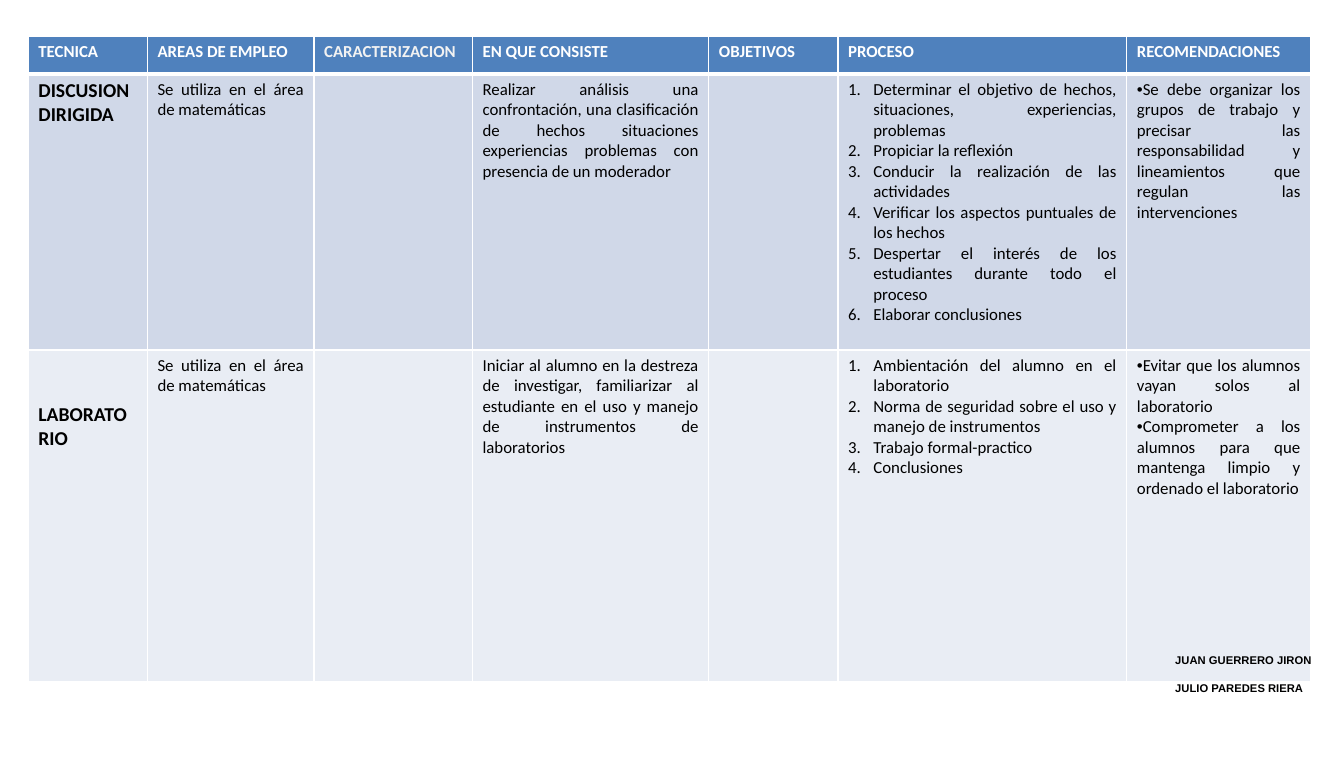
from lxml.etree import SubElement
from pptx import Presentation
from pptx.dml.color import RGBColor
from pptx.enum.text import MSO_ANCHOR, PP_ALIGN
from pptx.oxml.ns import qn
from pptx.util import Pt

HUES = {"head": "4F81BD", "dark": "D0D8E8", "pale": "E9EDF4",
        "white": "FFFFFF", "grey": "F2F2F2", "black": "000000"}
WIDTHS = [84.96, 118.8, 113.04, 168.48, 92.16, 205.92, 131.04]
HEIGHTS = [26.64, 196.8, 236.16]
STEPS, TIPS = 5, 6  # list columns

HEADS = ["TECNICA", "AREAS DE EMPLEO", "CARACTERIZACION", "EN QUE CONSISTE",
         "OBJETIVOS", "PROCESO", "RECOMENDACIONES"]
AREA = ["Se utiliza en el área de matemáticas"]
ROWS = [
    [["DISCUSION DIRIGIDA"], AREA, [],
     ["Realizar análisis una confrontación, una clasificación de hechos "
      "situaciones experiencias problemas con presencia de un moderador"], [],
     ["Determinar el objetivo de hechos, situaciones, experiencias, problemas",
      "Propiciar la reflexión",
      "Conducir la realización de las actividades",
      "Verificar los aspectos puntuales de los hechos",
      "Despertar el interés de los estudiantes durante todo el proceso",
      "Elaborar conclusiones"],
     ["Se debe organizar los grupos de trabajo y precisar las responsabilidad "
      "y lineamientos que regulan las intervenciones"]],
    [["LABORATORIO"], AREA, [],
     ["Iniciar al alumno en la destreza de investigar, familiarizar al "
      "estudiante en el uso y manejo de instrumentos de laboratorios"], [],
     ["Ambientación del alumno en el laboratorio",
      "Norma de seguridad sobre el uso y manejo de instrumentos",
      "Trabajo formal-practico",
      "Conclusiones"],
     ["Evitar que los alumnos vayan solos al laboratorio",
      "Comprometer a los alumnos para que mantenga limpio y ordenado el "
      "laboratorio"]],
]
NAMES = ["JUAN GUERRERO JIRON", "JULIO PAREDES RIERA"]


def color(name):
    return RGBColor.from_string(HUES[name])


def add_run(para, text, size, hue="black", bold=False, face="Calibri"):
    run = para.add_run()
    run.text = text
    font = run.font
    font.name, font.size, font.bold = face, Pt(size), bold
    font.color.rgb = color(hue)


def add_paras(frame, texts):
    """Yield one paragraph with its text, for each text."""
    for i, text in enumerate(texts):
        yield (frame.add_paragraph() if i else frame.paragraphs[0]), text


def add_mark(para, col):
    """Number the steps and dot the tips."""
    props = para._p.get_or_add_pPr()
    if col == STEPS:
        props.set("marL", str(Pt(18)))
        props.set("indent", str(-Pt(18)))
        SubElement(props, qn("a:buAutoNum"), type="arabicPeriod")
    elif col == TIPS:
        SubElement(props, qn("a:buFont"), typeface="Arial")
        SubElement(props, qn("a:buChar"), char="•")


def paint(cell, hue, top=1, bottom=1):
    """Give the cell white borders and a fill."""
    props = cell._tc.get_or_add_tcPr()
    for side, width in zip("LRTB", (1, 1, top, bottom)):
        line = SubElement(props, qn(f"a:ln{side}"), w=str(Pt(width)))
        fill = SubElement(line, qn("a:solidFill"))
        SubElement(fill, qn("a:srgbClr"), val=HUES["white"])
    cell.fill.solid()
    cell.fill.fore_color.rgb = color(hue)


def add_head(table):
    for col, text in enumerate(HEADS):
        cell = table.cell(0, col)
        paint(cell, "head", bottom=3)
        para = cell.text_frame.paragraphs[0]
        para.alignment = PP_ALIGN.JUSTIFY
        hue = "grey" if text == "CARACTERIZACION" else "white"
        add_run(para, text, 12, hue, bold=True)


def add_row(table, row, texts, hue):
    for col, lines in enumerate(texts):
        cell = table.cell(row, col)
        paint(cell, hue, top=3 if row == 1 else 1)
        for para, text in add_paras(cell.text_frame, lines):
            add_mark(para, col)
            if col:
                para.alignment = PP_ALIGN.JUSTIFY
                add_run(para, text, 12)
            else:
                add_run(para, text, 14, bold=True)


def add_grid(slide, left, top):
    frame = slide.shapes.add_table(len(HEIGHTS), len(WIDTHS), Pt(left), Pt(top),
                                   Pt(sum(WIDTHS)), Pt(sum(HEIGHTS)))
    table = frame.table
    for column, width in zip(table.columns, WIDTHS):
        column.width = Pt(width)
    for row, height in zip(table.rows, HEIGHTS):
        row.height = Pt(height)
    add_head(table)
    for row, (texts, hue) in enumerate(zip(ROWS, ("dark", "pale")), 1):
        add_row(table, row, texts, hue)
    table.cell(2, 0).margin_top = Pt(37.8)


def add_names(slide, left, top, width, height):
    box = slide.shapes.add_textbox(Pt(left), Pt(top), Pt(width), Pt(height))
    frame = box.text_frame
    frame.word_wrap = True
    frame.vertical_anchor = MSO_ANCHOR.BOTTOM
    for para, text in add_paras(frame, NAMES):
        if text != NAMES[0]:
            para.space_before = Pt(10)
        add_run(para, text, 8, bold=True, face="Arial")


def main():
    deck = Presentation()
    deck.slide_width, deck.slide_height = Pt(958.32), Pt(540)
    slide = deck.slides.add_slide(deck.slide_layouts[6])
    add_grid(slide, 20.16, 26.3)
    add_names(slide, 830.9, 473.8, 127, 25.2)
    deck.save("out.pptx")


if __name__ == "__main__":
    main()
